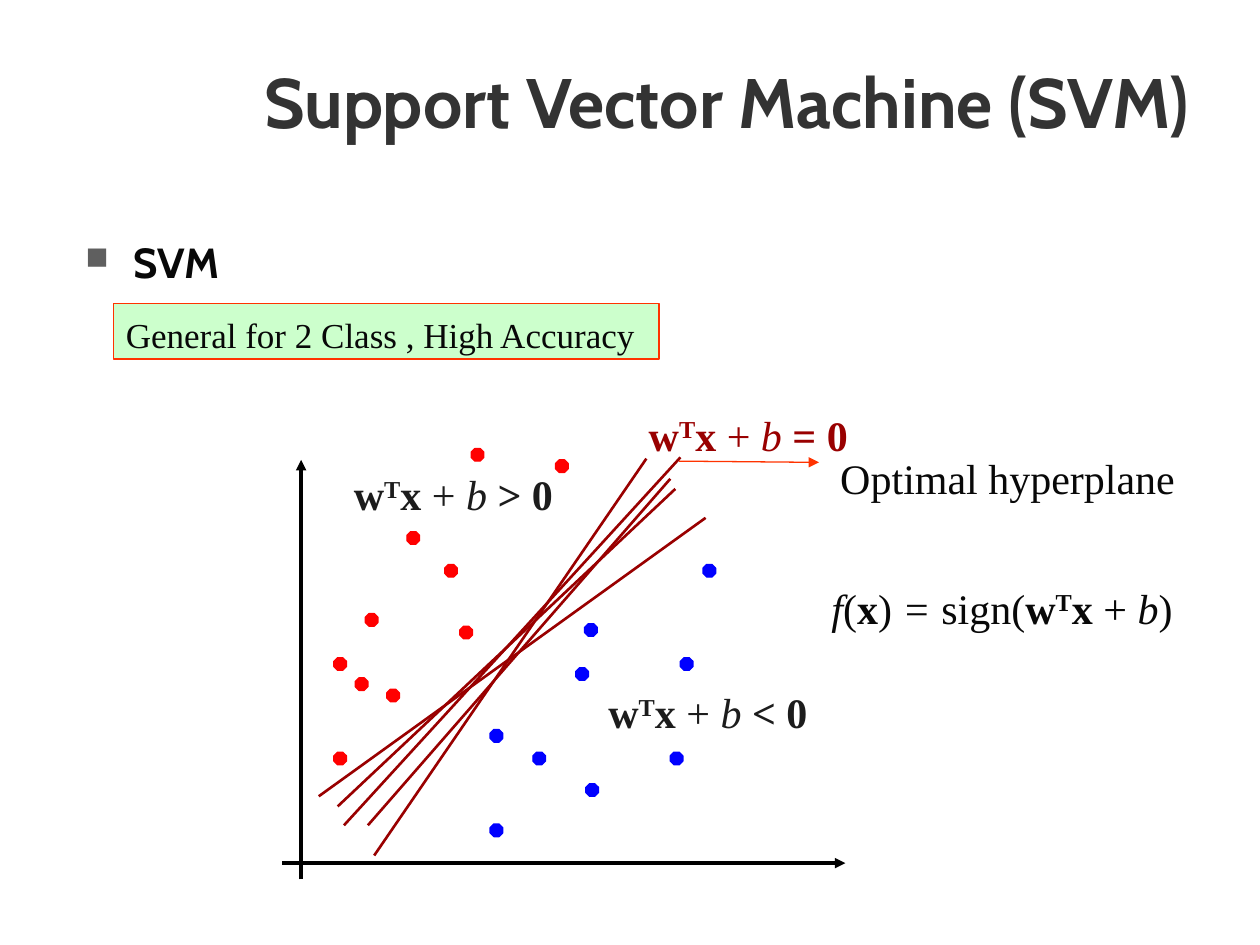
from dataclasses import dataclass

from lxml import etree
from pptx import Presentation
from pptx.dml import color
from pptx.enum import shapes, text
from pptx.oxml import ns
from pptx.util import Emu, Inches, Pt

COLS, ROWS = 100, 75
SERIF, SANS = "Times New Roman", "Cabin"
RED, BLUE, WINE, INK = "FF0000", "0000FF", "990000", "080808"
BLACK, GREY, FLAME = "000000", "1C1C1C", "FF3300"

deck = Presentation()
deck.slide_width, deck.slide_height = Inches(10), Inches(7.5)
page = deck.slides.add_slide(deck.slide_layouts[6])


@dataclass
class Box:
    x: float
    y: float
    w: float
    h: float


@dataclass
class Line:
    x1: float
    y1: float
    x2: float
    y2: float
    hue: str = WINE
    size: float = 1.5
    arrow: bool = False


@dataclass
class Label:
    box: Box
    runs: list
    hue: str = INK


def col(n: float) -> Emu:
    return Emu(round(deck.slide_width * n / COLS))


def row(n: float) -> Emu:
    return Emu(round(deck.slide_height * n / ROWS))


def rgb(code: str) -> color.RGBColor:
    return color.RGBColor.from_string(code)


def place(box: Box) -> tuple:
    return col(box.x), row(box.y), col(box.w), row(box.h)


def tag(root, name: str, **attrs: str):
    return etree.SubElement(root, ns.qn(name), **attrs)


def bullet(para) -> None:
    props = para._p.get_or_add_pPr()
    props.set("marL", str(Inches(0.38)))
    props.set("indent", str(-Inches(0.38)))
    tag(tag(props, "a:buClr"), "a:srgbClr", val="5F5F5F")
    tag(props, "a:buSzPct", val="75000")
    tag(props, "a:buChar", char="■")


def write(shape, runs: list, *, size: float = 24, face: str = SERIF,
          hue: str = INK, top: float = 0.08, middle: bool = False,
          mark: bool = False) -> None:
    frame = shape.text_frame
    frame.word_wrap = True
    frame.margin_left = frame.margin_right = Inches(0.1)
    frame.margin_top, frame.margin_bottom = Inches(top), Inches(0.1 - top)
    frame.vertical_anchor = (text.MSO_ANCHOR.MIDDLE if middle
                             else text.MSO_ANCHOR.TOP)
    para = frame.paragraphs[0]
    para.alignment = text.PP_ALIGN.LEFT
    if mark:
        bullet(para)
    for words, style in runs:
        run = para.add_run()
        run.text = words
        font = run.font
        font.name, font.size = face, Pt(size)
        font.bold, font.italic = "b" in style, "i" in style
        font.color.rgb = rgb(hue)
        if "^" in style:
            run._r.get_or_add_rPr().set("baseline", "30000")


def note(box: Box, runs: list, **form) -> None:
    write(page.shapes.add_textbox(*place(box)), runs, **form)


def solid(kind, box: Box, fill: str, edge: str):
    shape = page.shapes.add_shape(kind, *place(box))
    shape.shadow.inherit = False
    shape.fill.solid()
    shape.fill.fore_color.rgb = rgb(fill)
    shape.line.color.rgb = rgb(edge)
    shape.line.width = Pt(0.75)
    return shape


def draw(line: Line) -> None:
    wire = page.shapes.add_connector(
        shapes.MSO_CONNECTOR.STRAIGHT,
        col(line.x1), row(line.y1), col(line.x2), row(line.y2))
    wire.line.color.rgb = rgb(line.hue)
    wire.line.width = Pt(line.size)
    if line.arrow:
        tag(wire.line._get_or_add_ln(), "a:tailEnd", type="triangle")
    tag(wire._element.spPr, "a:effectLst")


def plane(end: str) -> list:
    return [("w", "b"), ("T", "b^"), ("x ", "b"), ("+ ", ""), ("b", "i"),
            (end, "" if end == ")" else "b")]


LINES = [
    Line(23.9, 69.8, 23.9, 36.5, BLACK, 2, True),
    Line(22.4, 68.5, 67.1, 68.5, BLACK, 2, True),
    Line(27.3, 65.5, 54, 36.3),
    Line(29.7, 67.9, 51.3, 36.4),
    Line(29.2, 65.5, 53.2, 38),
    Line(26.8, 64, 53.6, 38.8),
    Line(25.3, 63.2, 56, 41.1),
    Line(53.9, 36.6, 65, 36.7, FLAME, 0.75, True),
]

DOTS = {
    RED: [(35.3, 44.8), (29, 48.7), (30.7, 54.7), (26.5, 59.7),
          (32.3, 42.2), (26.5, 52.2), (28.2, 53.8), (36.5, 49.7),
          (37.4, 35.6), (44.1, 36.5)],
    BLUE: [(46.4, 49.5), (42.3, 59.7), (53.2, 59.7), (38.9, 65.4),
           (45.7, 53), (38.9, 57.9), (46.5, 62.2), (54, 52.2),
           (55.8, 44.8)],
}

LABELS = [
    Label(Box(50.5, 31.7, 29.2, 5), plane(" = 0"), WINE),
    Label(Box(47.3, 53.7, 29.2, 5), plane(" < 0"), GREY),
    Label(Box(27.1, 36.4, 29.2, 5), plane(" > 0"), GREY),
    Label(Box(65, 45.4, 32.1, 5),
          [("f", "i"), ("(", ""), ("x", "b"), (")", ""), (" = ", "i"),
           ("sign(", "")] + plane(")")),
    Label(Box(65.7, 35.1, 29.2, 5), [("Optimal hyperplane", "")]),
]


def main() -> None:
    note(Box(20, 2.1, 77.4, 11.7), [("Support Vector Machine (SVM)", "b")],
         size=40, face=SANS, hue="333333", top=0.05, middle=True)
    note(Box(5.8, 18.3, 88.3, 50.8), [("SVM", "b")],
         face=SANS, top=0.05, mark=True)
    for line in LINES:
        draw(line)
    for hue, spots in DOTS.items():
        for x, y in spots:
            solid(shapes.MSO_SHAPE.OCTAGON, Box(x, y, 1, 1), hue, hue)
    for label in LABELS:
        note(label.box, label.runs, hue=label.hue)
    band = solid(shapes.MSO_SHAPE.RECTANGLE, Box(9, 24.1, 43.3, 4.4),
                 "CCFFCC", FLAME)
    write(band, [("General for 2 Class , High Accuracy", "")], size=20)
    deck.save("out.pptx")


if __name__ == "__main__":
    main()
